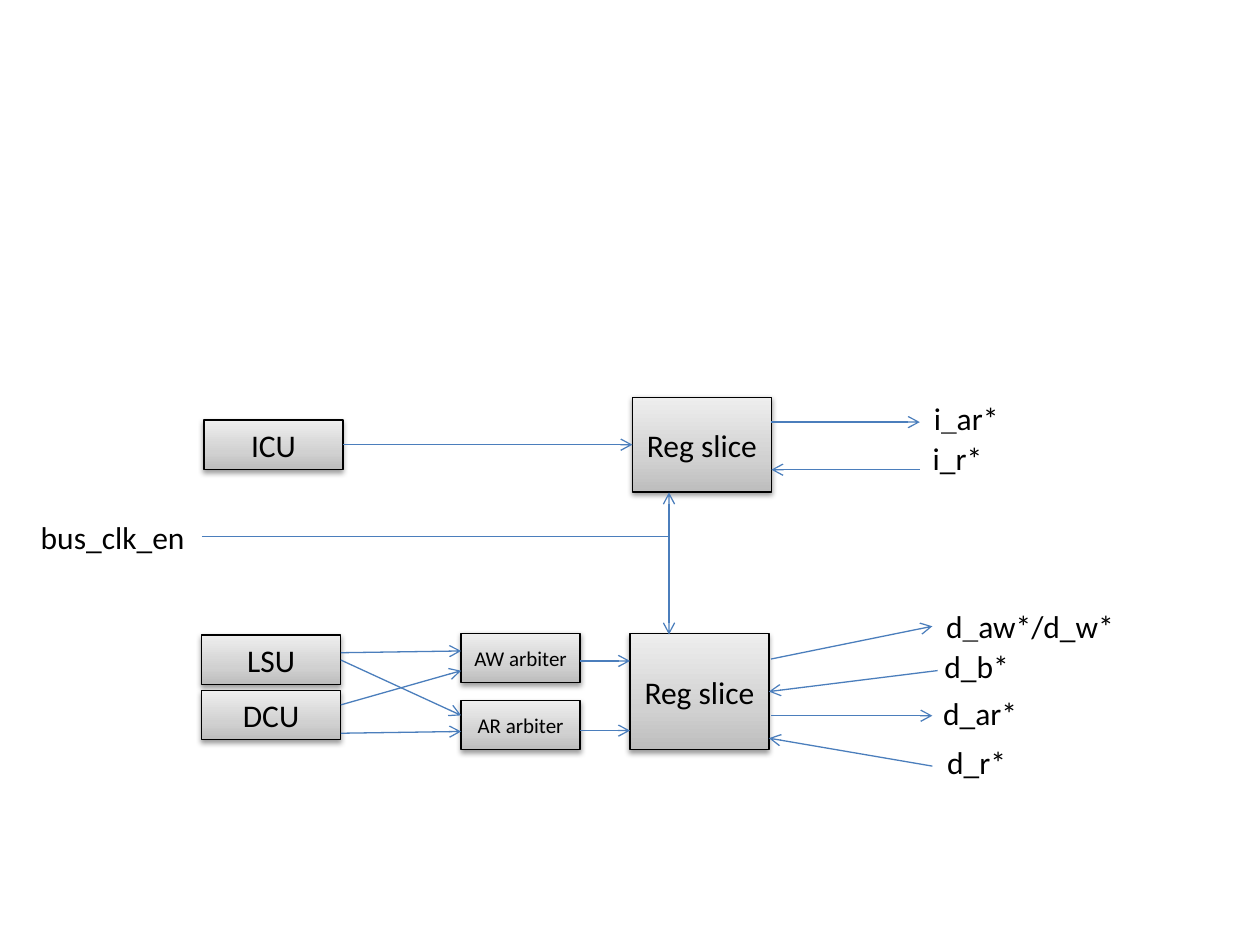
from lxml.etree import SubElement
from pptx import Presentation
from pptx.dml.color import RGBColor
from pptx.enum.shapes import MSO_CONNECTOR, MSO_SHAPE
from pptx.enum.text import MSO_ANCHOR, PP_ALIGN
from pptx.oxml import parse_xml
from pptx.oxml.ns import nsdecls, qn
from pptx.util import Pt

BLACK, WHITE, BLUE = "000000", "FFFFFF", "4B7EBC"
GREYS = [(0, "BDBDBD"), (35, "D1D1D1"), (100, "EEEEEE")]
HIGH = 28.2  # height of a label or a small block

# key: text, left, top, width, height, text size
BLOCKS = {
    "lsu": ("LSU", 115.2, 362.9, 79.4, HIGH, 18),
    "icu": ("ICU", 116.6, 240, 79.4, HIGH, 18),
    "dcu": ("DCU", 115.2, 394.5, 79.4, HIGH, 18),
    "aw": ("AW arbiter", 263.5, 361.9, 68, HIGH, 12),
    "ar": ("AR arbiter", 263.5, 400.3, 68, HIGH, 12),
    "ireg": ("Reg slice", 361.4, 227, 79.4, 54.2, 18),
    "dreg": ("Reg slice", 360, 361.9, 79.4, 66.6, 18),
}
# text, left, top, width
LABELS = [
    ("i_ar*", 512.4, 224.6, 79.4),
    ("i_r*", 507.4, 247.8, 79.4),
    ("d_aw*/d_w*", 522.4, 343.6, 132.4),
    ("d_b*", 518.4, 366.6, 79.4),
    ("d_ar*", 520.4, 393.2, 79.4),
    ("d_r*", 518.4, 421.3, 79.4),
    ("bus_clk_en", 13.4, 292.6, 102),
]
BUS = (382.3, 306.7)  # where the clock line forks
# from x, y, to x, y
ARROWS = [
    (440.8, 241.2, 525.6, 241.2),
    (525.6, 268.4, 440.8, 268.4),
    (331.7, 417.5, 360, 417.5),
    (331.7, 377.7, 360, 377.7),
    (194.8, 373, 263.5, 372),
    (194.8, 419, 263.5, 418),
    (194.8, 402.8, 263.5, 383.3),
    (194.8, 377.2, 263.5, 408.8),
    (440.6, 376.6, 532.8, 357.9),
    (440.6, 409, 532.8, 409),
    (535.8, 383.2, 439.4, 395.2),
    (532.8, 437.8, 439.4, 421.8),
    (*BUS, BUS[0], 362.6),
    (*BUS, BUS[0], 281.4),
]


def rgb(code):
    return RGBColor.from_string(code)


def add_rect(text, x, y, w, h, size):
    rect = slide.shapes.add_shape(MSO_SHAPE.RECTANGLE, Pt(x), Pt(y), Pt(w), Pt(h))
    rect.shadow.inherit = False
    frame = rect.text_frame
    frame.text = text
    frame.margin_left = frame.margin_right = 0
    frame.vertical_anchor = MSO_ANCHOR.MIDDLE
    para = frame.paragraphs[0]
    para.alignment = PP_ALIGN.CENTER
    font = para.runs[0].font
    font.name, font.size, font.color.rgb = "Calibri", Pt(size), rgb(BLACK)
    return rect


def add_block(*item):
    """Add a grey shaded box with a soft shadow."""
    rect = add_rect(*item)
    stops = "".join(
        f'<a:gs pos="{pos * 1000}"><a:srgbClr val="{code}"/></a:gs>'
        for pos, code in GREYS)
    props = rect._element.spPr
    props.find(qn("a:prstGeom")).addnext(parse_xml(
        f'<a:gradFill {nsdecls("a")} rotWithShape="1"><a:gsLst>{stops}</a:gsLst>'
        '<a:lin ang="16200000" scaled="1"/></a:gradFill>'))
    rect.line.color.rgb = rgb(BLACK)
    rect.line.width = Pt(0.75)
    props.find(qn("a:effectLst")).append(parse_xml(
        f'<a:outerShdw {nsdecls("a")} blurRad="{Pt(3.1)}" dist="{Pt(1.6)}" '
        f'dir="5400000" rotWithShape="0"><a:srgbClr val="{BLACK}">'
        '<a:alpha val="38000"/></a:srgbClr></a:outerShdw>'))
    return rect


def add_label(text, x, y, w):
    rect = add_rect(text, x, y, w, HIGH, 18)
    rect.fill.solid()
    rect.fill.fore_color.rgb = rgb(WHITE)
    rect.line.fill.background()
    return rect


def add_line(ends, arrow=True):
    line = slide.shapes.add_connector(MSO_CONNECTOR.STRAIGHT, *map(Pt, ends))
    line.line.color.rgb = rgb(BLUE)
    line.line.width = Pt(0.75)
    if arrow:
        SubElement(line.line._get_or_add_ln(), qn("a:tailEnd"), type="arrow")
    SubElement(line._element.spPr, qn("a:effectLst"))
    return line


deck = Presentation()
deck.slide_width, deck.slide_height = Pt(720), Pt(540)
slide = deck.slides.add_slide(deck.slide_layouts[6])

labels = {item[0]: add_label(*item) for item in LABELS}
blocks = {key: add_block(*item) for key, item in BLOCKS.items()}
for ends in ARROWS:
    add_line(ends)

fetch = add_line((196, 254.1, 361.4, 254.1))
fetch.begin_connect(blocks["icu"], 3)
fetch.end_connect(blocks["ireg"], 1)
clock = add_line((115.4, BUS[1], *BUS), arrow=False)
clock.begin_connect(labels["bus_clk_en"], 3)

deck.save("out.pptx")
